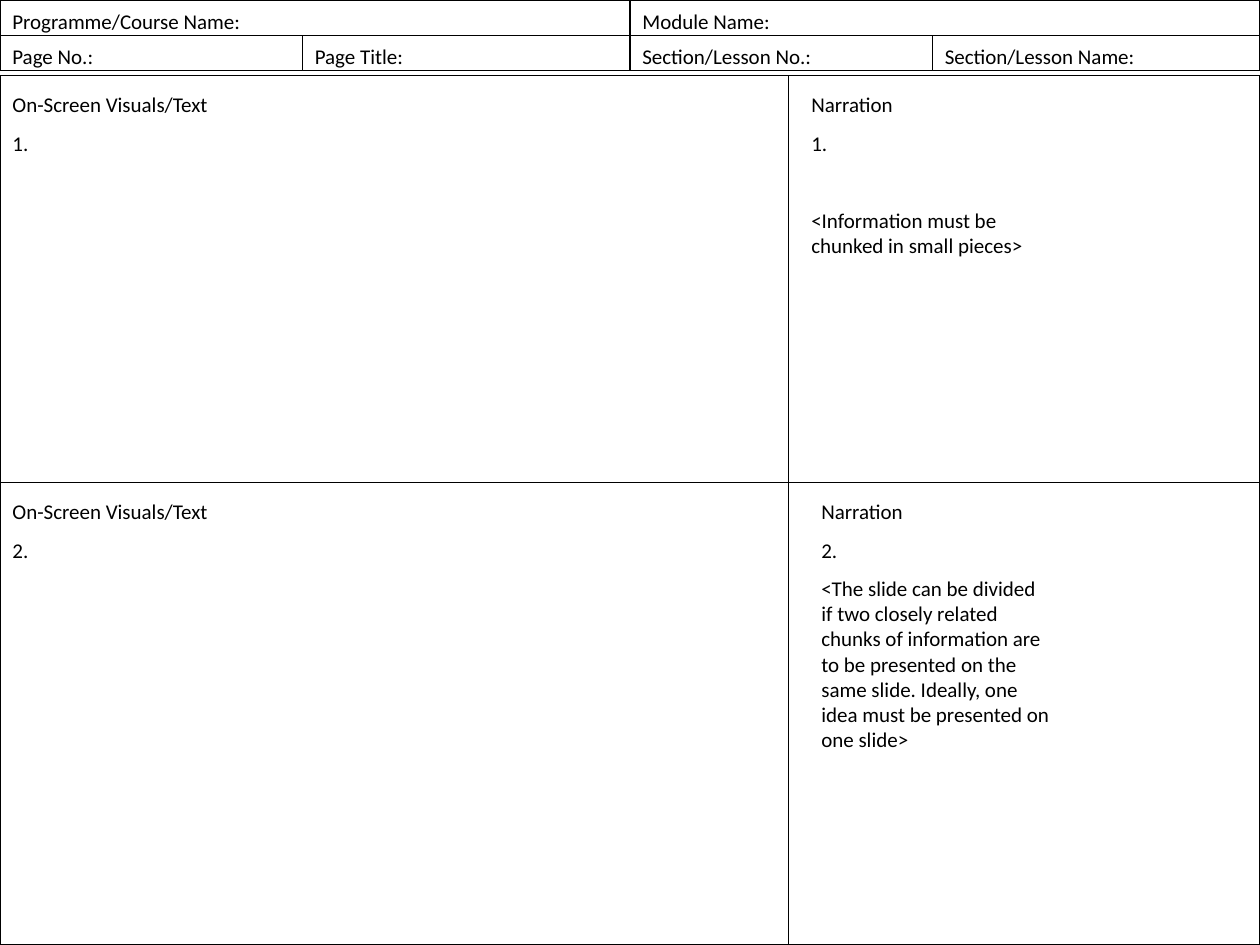
from pptx import Presentation
from pptx.dml.color import RGBColor as Rgb
from pptx.enum.shapes import MSO_SHAPE as Shape
from pptx.enum.text import MSO_ANCHOR as Anchor, MSO_AUTO_SIZE as Fit, PP_ALIGN as Align
from pptx.util import Inches, Pt

COLORS = {"fill": "FFFFFF", "ink": "000000"}
WIDE, TALL = 10, 7.5
ROW = 0.28
SPLIT = 6.26
GAP = 7.5
SKIP = 29.5


def color(name):
    return Rgb.from_string(COLORS[name])


def style(para, text, before=0):
    para.text = text
    para.alignment = Align.LEFT
    para.space_before = Pt(before)
    para.font.name = "Calibri"
    para.font.size = Pt(12)
    para.font.color.rgb = color("ink")


def add_box(slide, x, y, w, h):
    box = slide.shapes.add_shape(Shape.RECTANGLE, Inches(x), Inches(y), Inches(w), Inches(h))
    box.shadow.inherit = False
    box.fill.solid()
    box.fill.fore_color.rgb = color("fill")
    box.line.color.rgb = color("ink")
    box.line.width = Pt(0.75)
    return box


def add_field(slide, x, y, w, label):
    frame = add_box(slide, x, y, w, ROW).text_frame
    frame.word_wrap = True
    frame.vertical_anchor = Anchor.MIDDLE
    frame.margin_bottom = 0
    style(frame.paragraphs[0], label)


def add_header(slide, x, y, w):
    """Two rows of form fields, each half of the width alike."""
    half, short = w / 2, 2.4
    fields = [
        ("Programme/Course Name:", "Page No.:", "Page Title:"),
        ("Module Name:", "Section/Lesson No.:", "Section/Lesson Name:"),
    ]
    for i, (name, number, title) in enumerate(fields):
        left = x + i * half
        add_field(slide, left, y, half, name)
        add_field(slide, left, y + ROW, short, number)
        add_field(slide, left + short, y + ROW, half - short, title)


def add_notes(slide, x, y, h, lines):
    """A text column; lines are pairs of text and space before in points."""
    box = slide.shapes.add_textbox(Inches(x), Inches(y), Inches(2.01), Inches(h))
    frame = box.text_frame
    frame.word_wrap = True
    frame.auto_size = Fit.SHAPE_TO_FIT_TEXT
    for i, (text, before) in enumerate(lines):
        para = frame.paragraphs[0] if i == 0 else frame.add_paragraph()
        style(para, text, before)


def add_panel(slide, x, y, w, h, number, inset, depth, hint, before):
    """One storyboard row: visuals on the left, narration on the right."""
    top, label = y + 0.08, f"{number}."
    add_box(slide, x, y, SPLIT, h)
    add_box(slide, x + SPLIT, y, w - SPLIT, h)
    add_notes(slide, x, top, 0.61, [("On-Screen Visuals/Text", GAP), (label, GAP)])
    add_notes(slide, x + SPLIT + inset, top, depth,
              [("Narration", GAP), (label, GAP), (hint, before)])


def main():
    deck = Presentation()
    deck.slide_width, deck.slide_height = Inches(WIDE), Inches(TALL)
    slide = deck.slides.add_slide(deck.slide_layouts[6])
    add_header(slide, 0, 0, WIDE)
    add_panel(slide, 0, 0.6, WIDE, 3.23, 1, 0.08, 1.42,
              "<Information must be chunked in small pieces>", SKIP)
    add_panel(slide, 0, 3.83, WIDE, TALL - 3.83, 2, 0.16, 2.11,
              "<The slide can be divided if two closely related chunks of information "
              "are to be presented on the same slide. Ideally, one idea must be "
              "presented on one slide>", GAP)
    deck.save("out.pptx")


if __name__ == "__main__":
    main()
